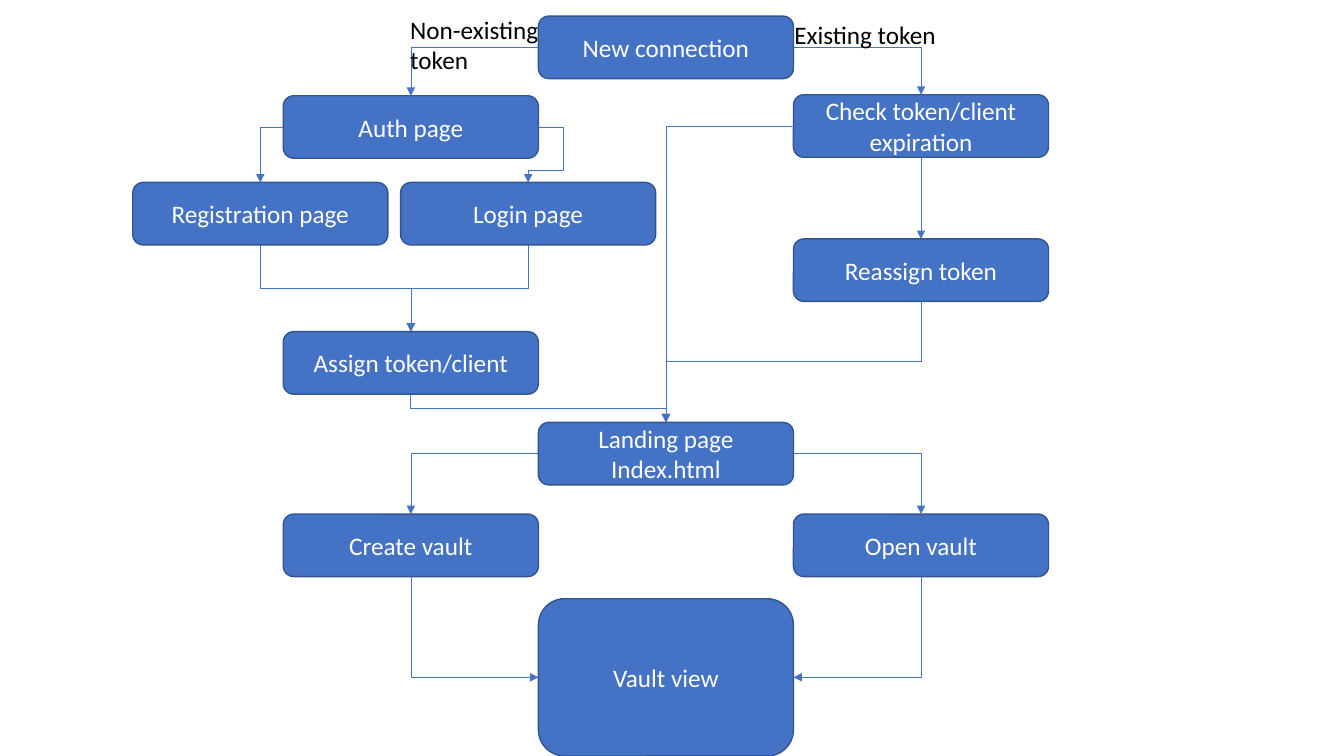
from lxml.etree import SubElement
from pptx import Presentation
from pptx.dml.color import RGBColor
from pptx.enum.shapes import MSO_CONNECTOR as Connector, MSO_SHAPE as Shape
from pptx.enum.text import MSO_ANCHOR as Anchor, MSO_AUTO_SIZE as AutoSize, PP_ALIGN as Align
from pptx.oxml.ns import qn
from pptx.util import Inches, Pt

# Grid, in inches: three adjoining columns, plus offsets for the two login choices
GRID_LEFT, BOX_WIDTH, BOX_HEIGHT = 2.81, 2.53, 0.62
LEFT, MIDDLE, RIGHT = 0, 1, 2
REGISTRATION, LOGIN = -0.59, 0.46
SIDE_STEP = 0.25  # how far a line steps out before turning back

# Content: name -> (lines, column, top, height)
STEPS = {
    "landing": (["Landing page", "Index.html"], MIDDLE, 4.19, BOX_HEIGHT),
    "assign": (["Assign token/client"], LEFT, 3.29, BOX_HEIGHT),
    "create": (["Create vault"], LEFT, 5.1, BOX_HEIGHT),
    "open": (["Open vault"], RIGHT, 5.1, BOX_HEIGHT),
    "vault": (["Vault view"], MIDDLE, 5.94, 1.56),
    "check": (["Check token/client expiration"], RIGHT, 0.94, BOX_HEIGHT),
    "reassign": (["Reassign token"], RIGHT, 2.37, BOX_HEIGHT),
    "new": (["New connection"], MIDDLE, 0.16, BOX_HEIGHT),
    "auth": (["Auth page"], LEFT, 0.95, BOX_HEIGHT),
    "login": (["Login page"], LOGIN, 1.81, BOX_HEIGHT),
    "registration": (["Registration page"], REGISTRATION, 1.81, BOX_HEIGHT),
}
# Connection sites on a box
TOP_SIDE, LEFT_SIDE, BOTTOM_SIDE, RIGHT_SIDE = range(4)
ARROWS = [
    ("landing", LEFT_SIDE, "create", TOP_SIDE),
    ("landing", RIGHT_SIDE, "open", TOP_SIDE),
    ("open", BOTTOM_SIDE, "vault", RIGHT_SIDE),
    ("create", BOTTOM_SIDE, "vault", LEFT_SIDE),
    ("assign", BOTTOM_SIDE, "landing", TOP_SIDE),
    ("check", BOTTOM_SIDE, "reassign", TOP_SIDE),
    ("check", LEFT_SIDE, "landing", TOP_SIDE),
    ("reassign", BOTTOM_SIDE, "landing", TOP_SIDE),
    ("new", RIGHT_SIDE, "check", TOP_SIDE),
    ("new", LEFT_SIDE, "auth", TOP_SIDE),
    ("auth", RIGHT_SIDE, "login", TOP_SIDE),
    ("auth", LEFT_SIDE, "registration", TOP_SIDE),
    ("login", BOTTOM_SIDE, "assign", TOP_SIDE),
    ("registration", BOTTOM_SIDE, "assign", TOP_SIDE),
]
# Labels: lines, (left, top, width, height)
LABELS = [
    (["Existing token"], (7.78, 0.14, 1.62, 0.4)),
    (["Non-existing", "token"], (3.97, 0.09, 1.49, 0.71)),
]
BLUE, OUTLINE, WHITE, BLACK = "4472C4", "325491", "FFFFFF", "000000"


def color(value):
    return RGBColor.from_string(value)


def write(shape, lines, ink=BLACK, align=Align.LEFT, anchor=Anchor.TOP, wrap=True):
    frame = shape.text_frame
    frame.word_wrap = wrap
    frame.vertical_anchor = anchor
    frame.text = "\n".join(lines)
    for paragraph in frame.paragraphs:
        paragraph.alignment = align
        font = paragraph.runs[0].font
        font.name, font.size, font.color.rgb = "Calibri", Pt(18), color(ink)


def add_step(slide, lines, column, top, height):
    left = GRID_LEFT + column * BOX_WIDTH
    box = slide.shapes.add_shape(Shape.ROUNDED_RECTANGLE, *map(Inches, (left, top, BOX_WIDTH, height)))
    box.shadow.inherit = False
    box.fill.solid()
    box.fill.fore_color.rgb = color(BLUE)
    box.line.color.rgb, box.line.width = color(OUTLINE), Pt(1)
    write(box, lines, ink=WHITE, align=Align.CENTER, anchor=Anchor.MIDDLE)
    return box


def site(box, side):
    across, down = {TOP_SIDE: (0.5, 0), LEFT_SIDE: (0, 0.5), BOTTOM_SIDE: (0.5, 1), RIGHT_SIDE: (1, 0.5)}[side]
    return int(box.left + across * box.width), int(box.top + down * box.height)


def bend(connector, start, end, source, source_side, target_side):
    """Turn and size an elbow so that it leaves by source_side and runs down to end."""
    (x1, y1), (x2, y2) = start, end
    dx, dy = x2 - x1, y2 - y1
    width, height, adjustments = abs(dx), abs(dy), []
    vertical = source_side == BOTTOM_SIDE
    kind = "bentConnector3" if vertical and target_side == TOP_SIDE else "bentConnector2"
    if vertical:
        width, height = height, width
        rotation, flip = (90, None) if dx < 0 else (270, "flipH")
    elif source_side == LEFT_SIDE:
        rotation, flip = 180, "flipV"
    elif dx > 0:
        rotation, flip = 0, None
    else:  # steps out to the right, then turns back to the left
        kind, rotation, flip = "bentConnector4", 0, "flipH"
        turn = (source.top + source.height + y2) / 2
        adjustments = [-Inches(SIDE_STEP) / width, (turn - y1) / height]

    properties = connector.element.spPr
    for name in ("flipH", "flipV"):
        properties.xfrm.set(name, "1" if name == flip else "0")
    connector.left, connector.top = (x1 + x2 - width) // 2, (y1 + y2 - height) // 2
    connector.width, connector.height = width, height
    connector.rotation = rotation
    geometry = properties.find(qn("a:prstGeom"))
    geometry.set("prst", kind)
    guides = geometry.find(qn("a:avLst"))
    for number, share in enumerate(adjustments, 1):
        SubElement(guides, qn("a:gd"), name=f"adj{number}", fmla=f"val {round(share * 100000)}")


def add_arrow(slide, source, source_side, target, target_side):
    start, end = site(source, source_side), site(target, target_side)
    straight = start[0] == end[0]
    kind = Connector.STRAIGHT if straight else Connector.ELBOW
    connector = slide.shapes.add_connector(kind, *start, *end)
    connector.begin_connect(source, source_side)
    connector.end_connect(target, target_side)
    if not straight:
        bend(connector, start, end, source, source_side, target_side)
    connector.line.color.rgb, connector.line.width = color(BLUE), Pt(0.5)
    properties = connector.element.spPr
    SubElement(properties.find(qn("a:ln")), qn("a:tailEnd"), type="triangle")
    SubElement(properties, qn("a:effectLst"))


def main():
    presentation = Presentation()
    presentation.slide_width, presentation.slide_height = Inches(13.33), Inches(7.5)
    slide = presentation.slides.add_slide(presentation.slide_layouts[6])

    # Boxes, then the arrows that join them
    boxes = {name: add_step(slide, *step) for name, step in STEPS.items()}
    for source, source_side, target, target_side in ARROWS:
        add_arrow(slide, boxes[source], source_side, boxes[target], target_side)

    # Labels beside the first box
    for lines, place in LABELS:
        label = slide.shapes.add_textbox(*map(Inches, place))
        write(label, lines, wrap=False)
        label.text_frame.auto_size = AutoSize.SHAPE_TO_FIT_TEXT

    presentation.save("out.pptx")


if __name__ == "__main__":
    main()
